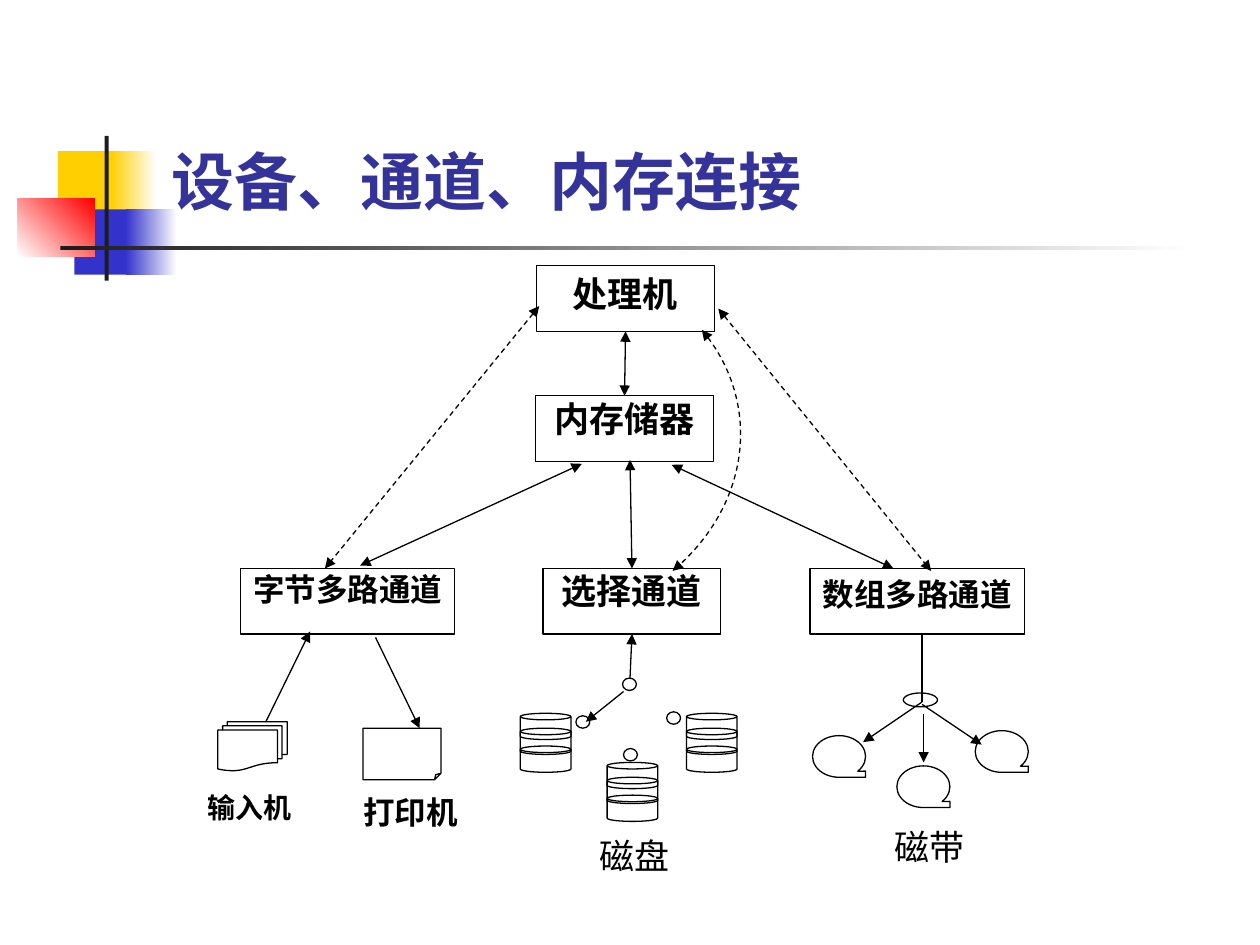
from lxml import etree
from pptx import Presentation
from pptx.dml.color import RGBColor
from pptx.enum.dml import MSO_LINE
from pptx.enum.shapes import MSO_CONNECTOR, MSO_SHAPE
from pptx.enum.text import MSO_ANCHOR, PP_ALIGN
from pptx.oxml.ns import qn
from pptx.util import Cm, Pt

RECTANGLE = MSO_SHAPE.RECTANGLE
OVAL = MSO_SHAPE.OVAL
CAN = MSO_SHAPE.CAN
TAPE = MSO_SHAPE.FLOWCHART_SEQUENTIAL_ACCESS_STORAGE
CARDS = MSO_SHAPE.FLOWCHART_MULTIDOCUMENT
PAPER = MSO_SHAPE.FOLDED_CORNER
STRAIGHT = MSO_CONNECTOR.STRAIGHT
DASH = MSO_LINE.DASH
LEFT, CENTER = PP_ALIGN.LEFT, PP_ALIGN.CENTER
TOP, BOTTOM = MSO_ANCHOR.TOP, MSO_ANCHOR.BOTTOM
TOP_SIDE, BOTTOM_SIDE = 0, 2

BLACK, WHITE, DARK = "000000", "FFFFFF", "1C1C1C"
YELLOW, BLUE, RED, TITLE_BLUE = "FFCF01", "3333CC", "FF0000", "333399"
BODY_FONT, TITLE_FONT = "Times New Roman", "Cabin"
CHANNEL_HEIGHT = 1.32


def color(value):
    return RGBColor.from_string(value)


def lengths(box, part):
    left, top, width, height = part
    return Cm(box[0] + left), Cm(box[1] + top), Cm(width), Cm(height)


def point(box, position):
    return Cm(box[0] + position[0]), Cm(box[1] + position[1])


def write(shape, text, size, bold=True, insets=(0.05, 0.03), font=BODY_FONT,
          fill=BLACK, align=CENTER, anchor=TOP):
    frame = shape.text_frame
    frame.word_wrap = True
    frame.vertical_anchor = anchor
    frame.margin_left = frame.margin_right = Cm(insets[0])
    frame.margin_top = frame.margin_bottom = Cm(insets[1])
    paragraph = frame.paragraphs[0]
    paragraph.text = text
    paragraph.alignment = align
    paragraph.font.name = font
    paragraph.font.size = Pt(size)
    paragraph.font.bold = bold
    paragraph.font.color.rgb = color(fill)


def label(slide, box, part, text, size, bold=True, **style):
    write(slide.shapes.add_textbox(*lengths(box, part)), text, size, bold, **style)


def style_line(shape, dashed=False, head=False, tail=False):
    shape.line.color.rgb = color(BLACK)
    shape.line.width = Pt(0.75)
    if dashed:
        shape.line.dash_style = DASH
    outline = shape.line._get_or_add_ln()
    for name, shown in (("a:headEnd", head), ("a:tailEnd", tail)):
        if shown:
            etree.SubElement(outline, qn(name), type="triangle")


def outline_shape(shapes, kind, box, part):
    shape = shapes.add_shape(kind, *lengths(box, part))
    shape.shadow.inherit = False
    shape.fill.background()
    style_line(shape)
    return shape


def node(slide, box, part, text, size, insets):
    shape = outline_shape(slide.shapes, RECTANGLE, box, part)
    write(shape, text, size, insets=insets)
    return shape


def link(slide, box, start, end, dashed=False, head=False, tail=True):
    connector = slide.shapes.add_connector(STRAIGHT, *point(box, start), *point(box, end))
    style_line(connector, dashed, head, tail)
    etree.SubElement(connector._element.spPr, qn("a:effectLst"))
    return connector


def curved_link(slide, box, start, *controls_and_end):
    builder = slide.shapes.build_freeform(*point(box, start))
    builder.add_line_segments([point(box, p) for p in controls_and_end], close=False)
    shape = builder.convert_to_shape()
    shape.shadow.inherit = False
    shape.fill.background()
    style_line(shape, dashed=True, head=True, tail=True)
    outline = next(shape._element.iter(qn("a:path")))
    curve = etree.SubElement(outline, qn("a:cubicBezTo"))
    for segment in outline.findall(qn("a:lnTo")):
        curve.append(segment[0])
        outline.remove(segment)


def decoration(slide, box):
    blocks = [
        ((0.81, 0.31, 1.22, 1.32), (YELLOW,), 0),
        ((1.88, 0.31, 0.91, 1.32), (YELLOW, WHITE), 0),
        ((1.14, 1.48, 1.17, 1.32), (BLUE,), 0),
        ((2.18, 1.48, 1.02, 1.32), (BLUE, WHITE), 0),
        ((0, 1.27, 1.55, 1.17), (WHITE, RED), 45),
        ((1.75, 0, 0.08, 2.92), (DARK,), 0),
        ((0.86, 2.21, 22.86, 0.09), (DARK, WHITE), 0),
    ]
    for part, colors, angle in blocks:
        shape = slide.shapes.add_shape(RECTANGLE, *lengths(box, part))
        shape.shadow.inherit = False
        shape.line.fill.background()
        if len(colors) == 1:
            shape.fill.solid()
            shape.fill.fore_color.rgb = color(colors[0])
            continue
        shape.fill.gradient()
        shape.fill.gradient_angle = angle
        for stop, value, position in zip(shape.fill.gradient_stops, colors, (0, 1)):
            stop.color.rgb = color(value)
            stop.position = position


def title(slide, box):
    label(slide, box, (0, 0, box[2], box[3]), "设备、通道、内存连接", 36,
          insets=(0.25, 0.13), font=TITLE_FONT, fill=TITLE_BLUE,
          align=LEFT, anchor=BOTTOM)


def processor_and_memory(slide, box):
    processor = node(slide, box, (0.02, 0, 3.58, 1.32), "处理机", 20, (0.25, 0.13))
    memory = node(slide, box, (0, 2.62, 3.58, 1.32), "内存储器", 20, (0.25, 0.03))
    connector = link(slide, box, (1.8, 1.32), (1.8, 2.62), head=True)
    connector.begin_connect(processor, BOTTOM_SIDE)
    connector.end_connect(memory, TOP_SIDE)


def byte_channel(slide, box):
    node(slide, box, (0.84, 0, 4.32, CHANNEL_HEIGHT), "字节多路通道", 18, (0.15, 0.03))
    outline_shape(slide.shapes, CARDS, box, (0.38, 3.09, 1.4, 0.99))
    paper = outline_shape(slide.shapes, PAPER, box, (3.31, 3.22, 1.57, 1.04))
    adjustments = next(paper._element.iter(qn("a:avLst")))
    etree.SubElement(adjustments, qn("a:gd"), name="adj", fmla="val 12500")
    link(slide, box, (3.56, 1.39), (4.45, 3.22))
    link(slide, box, (1.35, 3.09), (2.24, 1.27))
    label(slide, box, (3.23, 4.49, 2.08, 1.12), "打印机", 18)
    label(slide, box, (0, 4.44, 2.03, 1.12), "输入机", 16)


def disk_pack(slide, box):
    group = slide.shapes.add_group_shape()
    for top in (0, 0.3, 0.66):
        outline_shape(group.shapes, CAN, box, (0, top, 1.02, 0.53))


def selector_channel(slide, box):
    channel = node(slide, box, (0.46, 0, 3.58, CHANNEL_HEIGHT), "选择通道", 20, (0.25, 0.03))
    for left, top in ((0, 2.92), (1.75, 3.91), (3.35, 2.92)):
        disk_pack(slide, (box[0] + left, box[1] + top))
    for left, top in ((2.06, 2.21), (2.95, 2.89), (2.08, 3.63), (1.12, 2.97)):
        outline_shape(slide.shapes, OVAL, box, (left, top, 0.28, 0.25))
    connector = link(slide, box, (2.21, 2.21), (2.25, CHANNEL_HEIGHT))
    connector.end_connect(channel, BOTTOM_SIDE)
    link(slide, box, (2.08, 2.48), (1.32, 3.09))
    label(slide, box, (1.32, 5.33, 1.96, 0.99), "磁盘", 20, bold=False)
    return channel


def array_channel(slide, box):
    node(slide, box, (0, 0, 4.32, CHANNEL_HEIGHT), "数组多路通道", 18, (0.05, 0.13))
    for left, top in ((0.05, 3.37), (3.33, 3.27), (1.75, 3.98)):
        outline_shape(slide.shapes, TAPE, box, (left, top, 1.07, 0.84))
    outline_shape(slide.shapes, OVAL, box, (1.88, 2.51, 0.69, 0.28))
    link(slide, box, (2.26, 1.34), (2.26, 2.69), tail=False)
    link(slide, box, (2.26, 2.69), (1.07, 3.5))
    link(slide, box, (2.26, 2.74), (3.46, 3.55))
    link(slide, box, (2.29, 2.94), (2.29, 3.91))
    label(slide, box, (1.37, 5.15, 2.08, 1.17), "磁带", 20, bold=False)


def channel_links(slide, box, selector):
    link(slide, box, (5.18, 3.99), (0.71, 6.04), head=True)
    link(slide, box, (6.99, 4.01), (11.46, 6.1), head=True)
    middle = link(slide, box, (6.15, 3.91), (6.19, 6.1), head=True)
    middle.end_connect(selector, TOP_SIDE)
    link(slide, box, (4.32, 0.81), (0, 6.1), dashed=True, head=True)
    link(slide, box, (7.93, 0.86), (12.22, 6.15), dashed=True, head=True)
    curved_link(slide, box, (7.6, 1.29), (8.79, 2.69), (8.54, 4.88), (7.01, 6.15))


def main():
    presentation = Presentation()
    presentation.slide_width, presentation.slide_height = Cm(25.4), Cm(19.05)
    slide = presentation.slides.add_slide(presentation.slide_layouts[6])
    decoration(slide, (0.36, 2.74, 23.72, 2.92))
    title(slide, (3.2, 1.32, 21.64, 3.2))
    processor_and_memory(slide, (10.8, 5.36, 3.6, 3.94))
    byte_channel(slide, (4.01, 11.46, 5.31, 5.61))
    selector = selector_channel(slide, (10.49, 11.46, 4.37, 6.32))
    array_channel(slide, (16.33, 11.46, 4.4, 6.32))
    channel_links(slide, (6.55, 5.36, 12.22, 6.15), selector)
    presentation.save("out.pptx")


if __name__ == "__main__":
    main()
